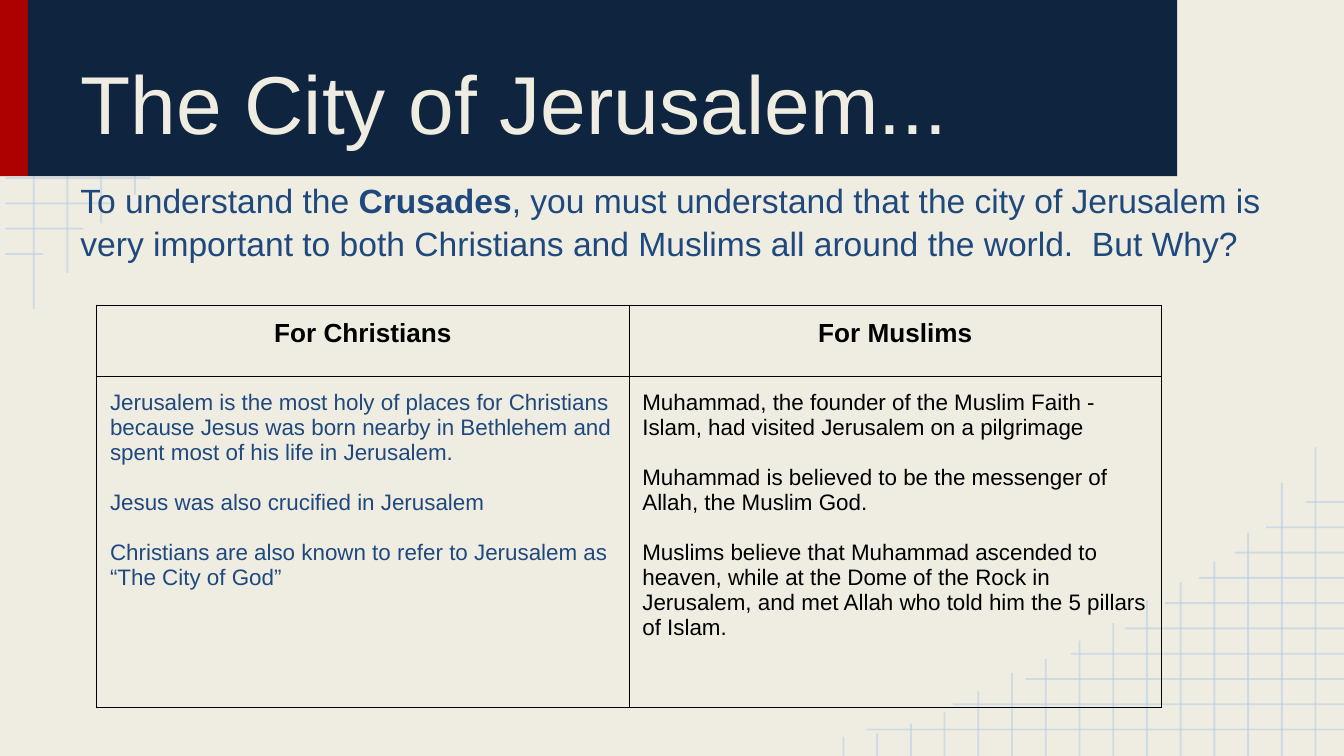
from lxml.etree import SubElement
from pptx import Presentation
from pptx.dml.color import RGBColor
from pptx.enum.shapes import MSO_CONNECTOR, MSO_SHAPE
from pptx.enum.text import MSO_ANCHOR, MSO_AUTO_SIZE, PP_ALIGN
from pptx.oxml.ns import qn
from pptx.util import Cm, Pt

COLORS = {
    "paper": "EFEDE2",
    "grid": "B7CCE4",
    "red": "AB0101",
    "navy": "0F243E",
    "blue": "1F497D",
    "black": "000000",
}
FONT = "Arial"
WIDTH, HEIGHT = 25.4, 14.29
INSET = Cm(0.25)

# Corner grid, in cm: how far each row runs right and each column runs down
GRID_LEFT = 0.1
ROW_START, ROW_STEP = 0.5, 4.3 / 9
COLUMN_STEP = 9.56 / 15
ROW_ENDS = [9.12, 7.49, 6.12, 5.26, 4.24, 3.48, 2.84, 2.16, 1.57, 0.81]
COLUMN_ENDS = [5.84, 5.16, 4.22, 3.68, 3.28, 2.95, 2.51, 2.18, 1.83, 1.57,
               1.22, 0.84, 0.61, 0.43, 0.36]

INTRO = [
    ("To understand the ", False),
    ("Crusades", True),
    (", you must understand that the city of Jerusalem is very important to "
     "both Christians and Muslims all around the world.  But Why?", False),
]
VIEWS = [
    ("For Christians", "blue", [
        "Jerusalem is the most holy of places for Christians because Jesus was "
        "born nearby in Bethlehem and spent most of his life in Jerusalem.",
        "Jesus was also crucified in Jerusalem",
        "Christians are also known to refer to Jerusalem as “The City of God”",
    ]),
    ("For Muslims", "black", [
        "Muhammad, the founder of the Muslim Faith - Islam, had visited "
        "Jerusalem on a pilgrimage",
        "Muhammad is believed to be the messenger of Allah, the Muslim God.",
        "Muslims believe that Muhammad ascended to heaven, while at the Dome of "
        "the Rock in Jerusalem, and met Allah who told him the 5 pillars of "
        "Islam.",
    ]),
]


def rgb(name):
    return RGBColor.from_string(COLORS[name])


def style_font(font, size, color, bold=False):
    font.name = FONT
    font.size = Pt(size)
    font.bold = bold
    font.color.rgb = rgb(color)


def set_insets(target):
    """Give a text frame or table cell the same margin on all sides."""
    target.margin_left = target.margin_right = INSET
    target.margin_top = target.margin_bottom = INSET


def add_grid_line(slide, start, end):
    line = slide.shapes.add_connector(
        MSO_CONNECTOR.STRAIGHT, *(Cm(value) for value in (*start, *end)))
    line.line.width = Pt(1)
    line.line.color.rgb = rgb("grid")
    properties = line._element.spPr
    color = properties.find(".//" + qn("a:srgbClr"))
    SubElement(color, qn("a:alpha"), val="54000")
    SubElement(properties, qn("a:effectLst"))


def add_corner_grids(slide):
    """Draw the grid at top left and its half-turn at bottom right."""
    lines = []
    for index, end in enumerate(ROW_ENDS):
        y = ROW_START + index * ROW_STEP
        lines.append(((GRID_LEFT, y), (end, y)))
    for index, end in enumerate(COLUMN_ENDS):
        x = (index + 1) * COLUMN_STEP
        lines.append(((x, end), (x, 0)))
    for line in lines:
        add_grid_line(slide, *line)
    for line in lines:
        add_grid_line(slide, *((WIDTH + GRID_LEFT - x, HEIGHT - y)
                               for x, y in line))


def add_band(slide, left, width, color):
    band = slide.shapes.add_shape(
        MSO_SHAPE.RECTANGLE, Cm(left), Cm(-0.02), Cm(width), Cm(3.35))
    band.shadow.inherit = False
    band.fill.solid()
    band.fill.fore_color.rgb = rgb(color)
    band.line.fill.background()


def set_title(slide, text):
    title = slide.shapes.title
    title.left, title.top = Cm(1.27), Cm(0.28)
    title.width, title.height = Cm(20.32), Cm(2.82)
    frame = title.text_frame
    frame.text = text
    frame.auto_size = MSO_AUTO_SIZE.NONE
    frame.vertical_anchor = MSO_ANCHOR.BOTTOM
    set_insets(frame)
    paragraph = frame.paragraphs[0]
    paragraph.alignment = PP_ALIGN.LEFT
    style_font(paragraph.font, 44, "paper")
    # Bring the title in front of the bands
    slide.shapes._spTree.append(title._element)


def add_intro(slide):
    box = slide.shapes.add_textbox(Cm(1.27), Cm(3.1), Cm(22.86), Cm(11.19))
    frame = box.text_frame
    frame.word_wrap = True
    set_insets(frame)
    paragraph = frame.paragraphs[0]
    paragraph.line_spacing = 1.07
    for text, bold in INTRO:
        run = paragraph.add_run()
        run.text = text
        style_font(run.font, 18, "blue", bold)


def add_borders(cell):
    properties = cell._tc.get_or_add_tcPr()
    for side in ("lnL", "lnR", "lnT", "lnB"):
        border = SubElement(properties, qn("a:" + side), w=str(Pt(0.75)))
        fill = SubElement(border, qn("a:solidFill"))
        SubElement(fill, qn("a:srgbClr"), val=COLORS["black"])


def fill_cell(cell, texts, size, color, bold=False, alignment=PP_ALIGN.LEFT):
    set_insets(cell)
    add_borders(cell)
    cell.fill.background()
    frame = cell.text_frame
    for index, text in enumerate(texts):
        paragraph = frame.add_paragraph() if index else frame.paragraphs[0]
        paragraph.text = text
        paragraph.alignment = alignment
        if index:
            paragraph.space_before = Pt(13.4)
        style_font(paragraph.font, size, color, bold)


def add_views_table(slide):
    table = slide.shapes.add_table(
        2, len(VIEWS), Cm(1.83), Cm(5.77), Cm(20.12), Cm(7.6)).table
    table.first_row = table.horz_banding = False
    for row, height in zip(table.rows, (1.35, 6.25)):
        row.height = Cm(height)
    for column, (heading, color, points) in enumerate(VIEWS):
        fill_cell(table.cell(0, column), [heading], 14, "black", True,
                  PP_ALIGN.CENTER)
        fill_cell(table.cell(1, column), points, 12, color)


def main():
    presentation = Presentation()
    presentation.slide_width, presentation.slide_height = Cm(WIDTH), Cm(HEIGHT)
    slide = presentation.slides.add_slide(presentation.slide_layouts[5])
    slide.background.fill.solid()
    slide.background.fill.fore_color.rgb = rgb("paper")
    add_corner_grids(slide)
    add_band(slide, 0, 0.53, "red")
    add_band(slide, 0.53, 21.72, "navy")
    set_title(slide, "The City of Jerusalem...")
    add_intro(slide)
    add_views_table(slide)
    presentation.save("out.pptx")


if __name__ == "__main__":
    main()
